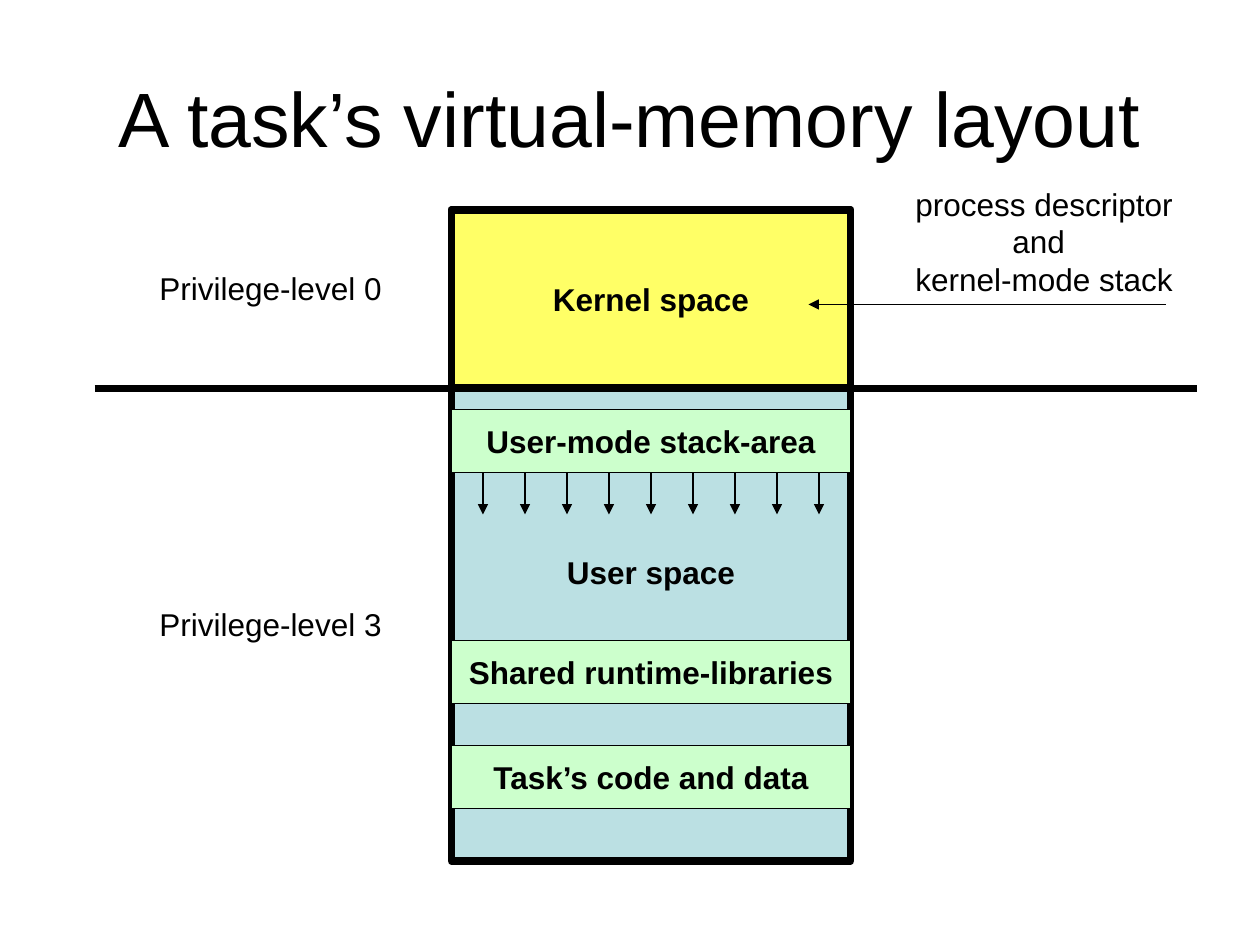
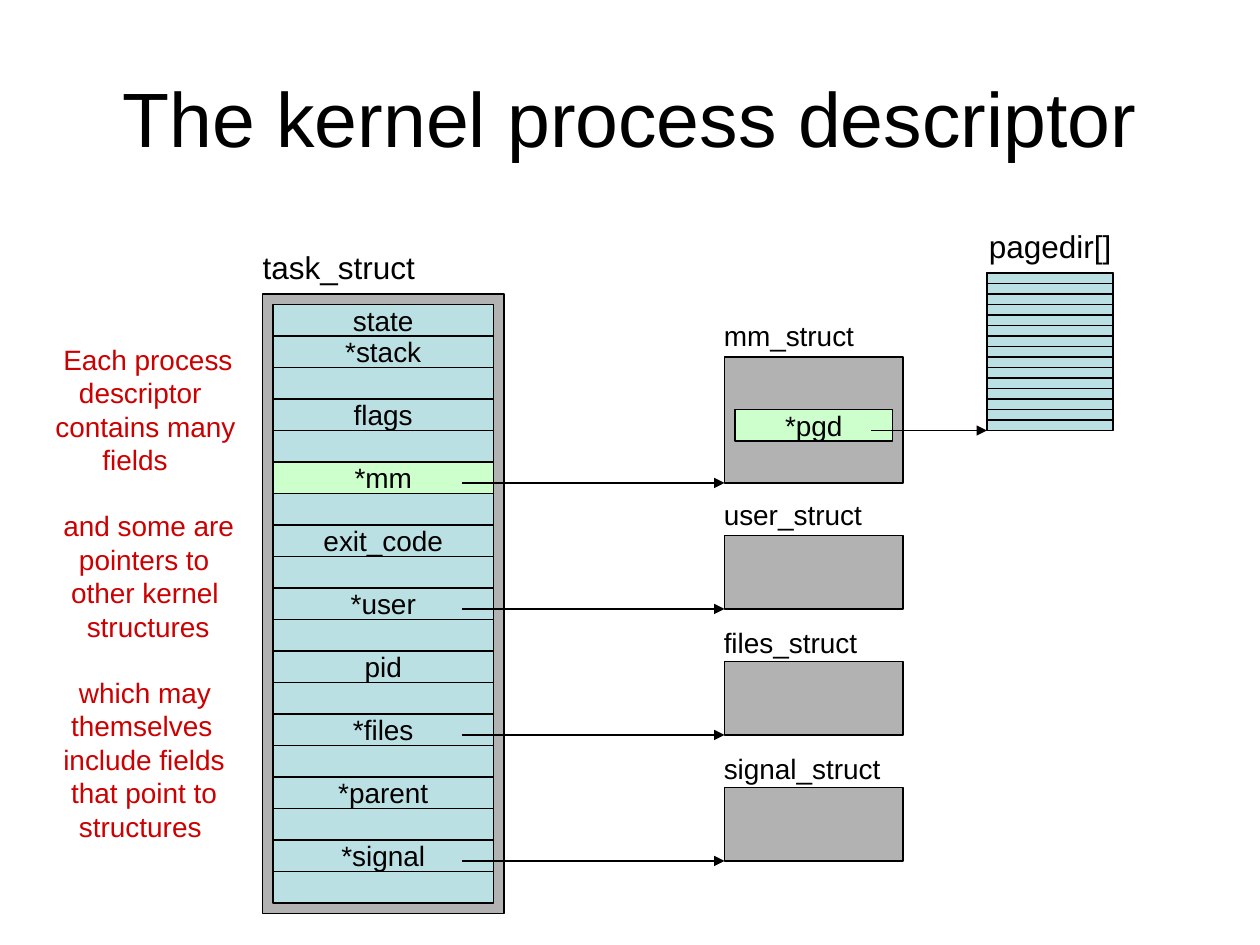
from lxml import etree
from pptx import Presentation
from pptx.dml.color import RGBColor
from pptx.enum.shapes import MSO_CONNECTOR, MSO_SHAPE
from pptx.enum.text import MSO_ANCHOR, PP_ALIGN
from pptx.oxml.ns import qn
from pptx.util import Inches, Pt

BLACK = RGBColor(0x00, 0x00, 0x00)
RED = RGBColor(0xCC, 0x00, 0x00)
GRAY = RGBColor(0xB2, 0xB2, 0xB2)
BLUE = RGBColor(0xBB, 0xE0, 0xE3)
GREEN = RGBColor(0xCC, 0xFF, 0xCC)
YELLOW = RGBColor(0xFF, 0xFF, 0x66)

FONT = "Arial"
COLUMNS, ROWS = 120, 90
THIN, THICK = 0.75, 4.5
SPACE_WIDTH = 0.28  # share of the text size
LINE_HEIGHT = 1.15  # share of the text size


class Deck:
    """Holds the style and the current slide; lengths are grid columns and rows."""

    def __init__(self):
        self.presentation = Presentation()
        self.presentation.slide_width = Inches(10)
        self.presentation.slide_height = Inches(7.5)
        self.column = self.presentation.slide_width / COLUMNS
        self.row = self.presentation.slide_height / ROWS
        self.slide = None

    def place(self, x, y):
        return round(x * self.column), round(y * self.row)

    def start_slide(self, title):
        self.slide = self.presentation.slides.add_slide(self.presentation.slide_layouts[6])
        frame = self.text_frame(6, 3.6, 108, 15)
        frame.vertical_anchor = MSO_ANCHOR.MIDDLE
        self.add_text(frame.paragraphs[0], title, 44, align=PP_ALIGN.CENTER)

    def text_frame(self, x, y, width, height):
        box = self.slide.shapes.add_textbox(*self.place(x, y), *self.place(width, height))
        box.text_frame.word_wrap = True
        return box.text_frame

    def add_text(self, paragraph, text, size, color=BLACK, bold=False, align=PP_ALIGN.LEFT):
        paragraph.alignment = align
        run = paragraph.add_run()
        run.text = text
        run.font.name = FONT
        run.font.size = Pt(size)
        run.font.bold = bold
        run.font.color.rgb = color

    def label(self, x, y, width, blocks, size=18, color=BLACK):
        """Set blocks of (indent in spaces, text) lines, one empty line's height apart."""
        count = sum(len(block) for block in blocks)
        frame = self.text_frame(x, y, width, 1.2 + count * size * LINE_HEIGHT / 6)
        paragraph = None
        for block in blocks:
            for number, (indent, text) in enumerate(block):
                starts_block = paragraph is not None and number == 0
                paragraph = frame.add_paragraph() if paragraph is not None else frame.paragraphs[0]
                if starts_block:
                    paragraph.space_before = Pt(size * LINE_HEIGHT)
                self.add_text(paragraph, text, size, color)
                properties = paragraph._p.get_or_add_pPr()
                properties.set("marL", str(int(Pt(indent * SPACE_WIDTH * size))))
                properties.set("indent", "0")

    def box(self, x, y, width, height, fill, text="", size=16, bold=False,
            border=THIN, lines_down=0):
        """Draw a bordered rectangle; lines_down lowers its text by half lines."""
        shape = self.slide.shapes.add_shape(
            MSO_SHAPE.RECTANGLE, *self.place(x, y), *self.place(width, height))
        shape.shadow.inherit = False
        shape.fill.solid()
        shape.fill.fore_color.rgb = fill
        shape.line.color.rgb = BLACK
        shape.line.width = Pt(border)
        if text:
            frame = shape.text_frame
            frame.word_wrap = False
            frame.vertical_anchor = MSO_ANCHOR.MIDDLE
            frame.margin_top = Inches(0.05) + Pt(lines_down * size * LINE_HEIGHT)
            self.add_text(frame.paragraphs[0], text, size, bold=bold, align=PP_ALIGN.CENTER)
        return shape

    def line(self, start, end, width=THIN, arrow=True):
        connector = self.slide.shapes.add_connector(
            MSO_CONNECTOR.STRAIGHT, *self.place(*start), *self.place(*end))
        connector.line.color.rgb = BLACK
        connector.line.width = Pt(width)
        properties = connector._element.spPr
        if arrow:
            etree.SubElement(properties.find(qn("a:ln")), qn("a:tailEnd"), type="triangle")
        etree.SubElement(properties, qn("a:effectLst"))
        return connector


def build_memory_layout(deck):
    deck.start_slide("A task’s virtual-memory layout")
    left, width = 43, 38
    middle = left + width / 2
    split = 37
    deck.box(left, 20, width, 62, BLUE, "User space", 18, True, THICK, lines_down=2)
    deck.box(left, 20, width, split - 20, YELLOW, "Kernel space", 18, True, THICK)

    regions = {}
    for name, top in (("User-mode stack-area", 39), ("Task’s code and data", 71),
                      ("Shared runtime-libraries", 61)):
        regions[name] = deck.box(left, top, width, 6, GREEN, name, 18, True)

    for x in range(46, 79, 4):
        growth = deck.line((x, 45), (x, 49))
        if x == middle:
            growth.begin_connect(regions["User-mode stack-area"], 2)

    deck.line((9, split), (114, split), THICK, arrow=False)
    for level, top in ((0, 25), (3, 57)):
        deck.label(14, top, 24, [[(0, f"Privilege-level {level}")]])
    deck.label(86, 17, 28, [[(0, "process descriptor"), (11, "and"), (0, "kernel-mode stack")]])
    deck.line((111, 29), (77, 29))


def build_process_descriptor(deck):
    deck.start_slide("The kernel process descriptor")
    deck.box(25, 28, 23, 59, GRAY)
    deck.label(23, 23, 20, [[(1, "task_struct")]])
    fields = ["state", "*stack", "", "flags", "", "*mm", "", "exit_code", "", "*user", "",
              "pid", "", "*files", "", "*parent", "", "*signal", ""]
    field_top = {}
    for number, field in enumerate(fields):
        field_top[field] = 29 + 3 * number
        deck.box(26, field_top[field], 21, 3, GREEN if field == "*mm" else BLUE, field)

    for name, height, label_top in (("mm", 12, 29.7), ("user", 7, 46.8),
                                    ("files", 7, 59), ("signal", 7, 71)):
        bottom = field_top[f"*{name}"] + 2
        deck.box(69, bottom - height, 17, height, GRAY)
        deck.label(67, label_top, 20, [[(1, f"{name}_struct")]], 16)
        deck.line((44, bottom), (69, bottom))

    deck.box(70, 39, 15, 3, GREEN, "*pgd")
    deck.box(94, 26, 12, 12, BLUE)
    for entry in range(15):
        deck.box(94, 26 + entry, 12, 1, BLUE)
    deck.line((83, 41), (94, 41))
    deck.label(93, 21, 15, [[(0, "pagedir[]")]])

    deck.label(4.1, 32, 21, [
        [(1, "Each process"), (3, "descriptor"), (0, "contains many"), (6, "fields")],
        [(1, "and some are"), (3, "pointers to"), (2, "other kernel"), (4, "structures")],
        [(3, "which may"), (2, "themselves"), (1, "include fields"), (2, "that point to"),
         (3, "structures")],
    ], 16, RED)


def main():
    deck = Deck()
    build_memory_layout(deck)
    build_process_descriptor(deck)
    deck.presentation.save("out.pptx")


if __name__ == "__main__":
    main()
